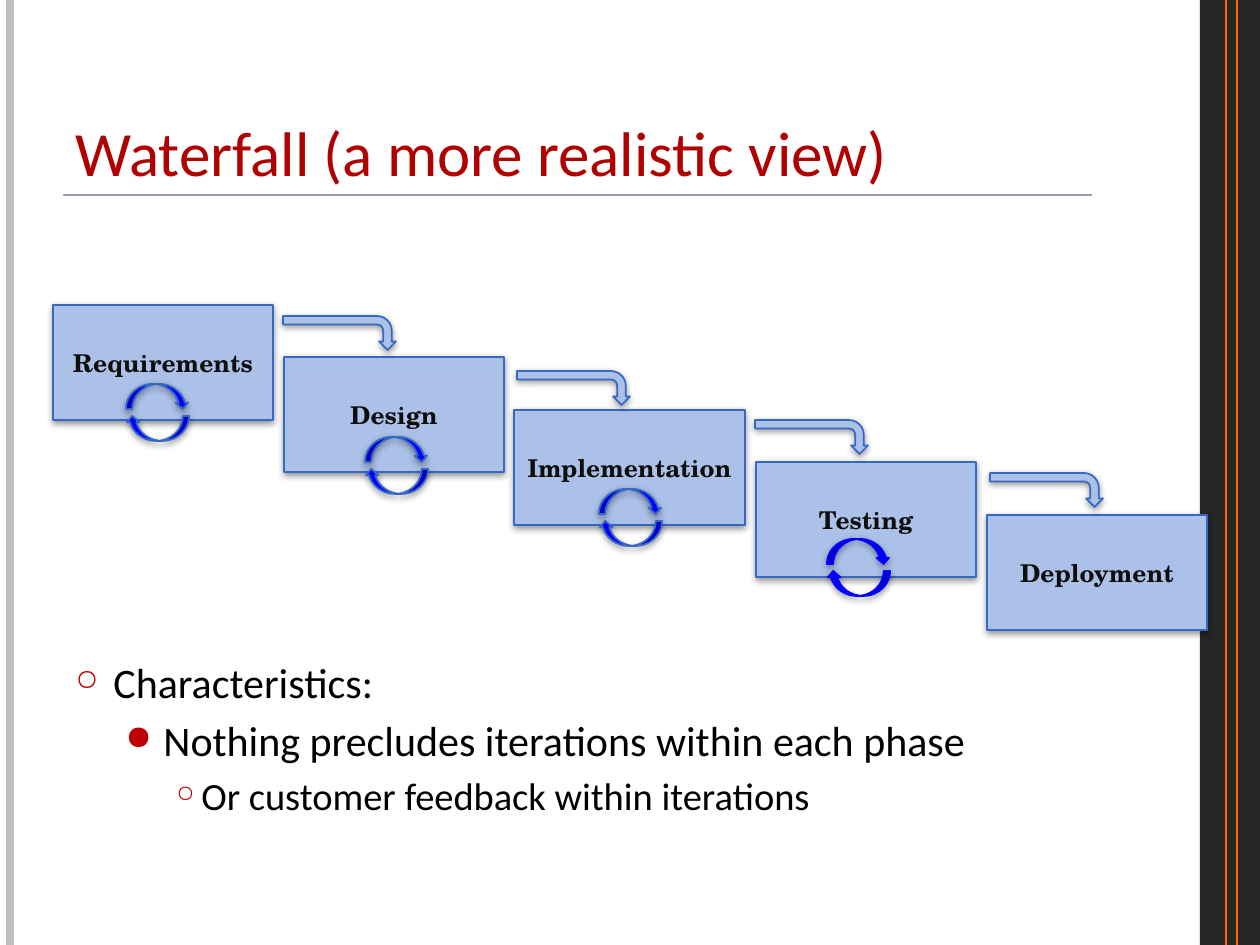
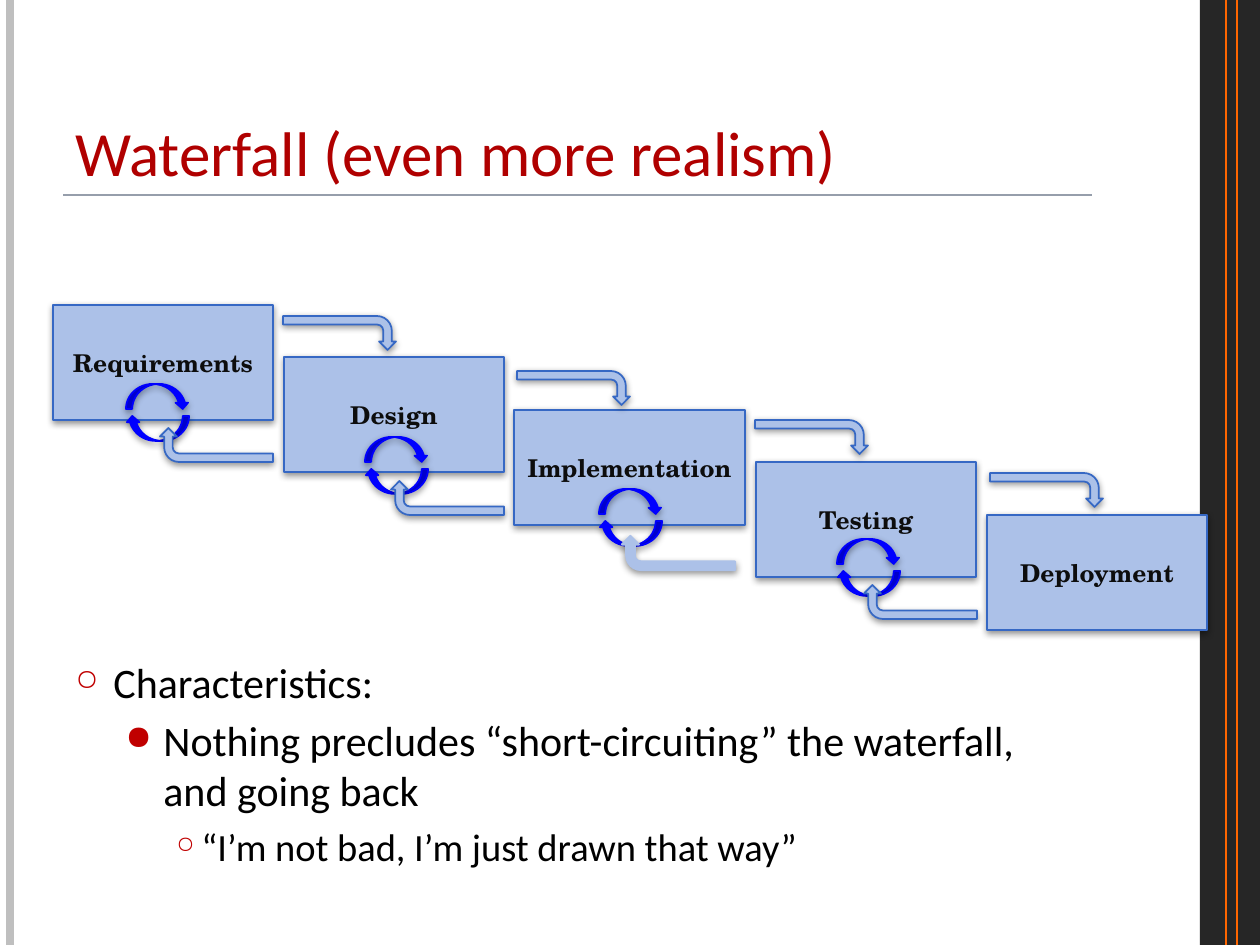
import pptx
import pptx.dml.color
import pptx.enum.shapes
import pptx.enum.text
import pptx.oxml
import pptx.oxml.ns
import pptx.util

SHAPE = pptx.enum.shapes.MSO_SHAPE
ANCHOR = pptx.enum.text.MSO_ANCHOR
Pt = pptx.util.Pt

COLORS = {
    "title": "B00000", "bullet": "C00000", "body": "000000", "phase_text": "0D0D0D",
    "phase": "ACC1E8", "outline": "3668C4", "loop": "0000FF", "shadow": "000000",
    "band": "262626", "band_shadow": "FFFFFF", "edge": "BFBFBF", "stripe": "FF6600",
    "rule": "969EAB",
}
BODY_FONT, PHASE_FONT = "Calibri", "TeX Gyre Schola"

# Content; lengths are px, 126 to the inch
PHASES = [("Requirements", 53, 220), ("Design", 284, 220), ("Implementation", 514, 231),
          ("Testing", 756, 220), ("Deployment", 987, 220)]  # text, left, width
FORWARD_ARROWS = [(283, 316), (517, 371), (755, 420), (990, 473)]
LOOP_TOPS = [384, 437, 489, 539]

SLIDES = [
    {
        "title": "Waterfall (a more realistic view)",
        "points": ["Characteristics:",
                   "Nothing precludes iterations within each phase",
                   "Or customer feedback within iterations"],
        "loops": [(126, "outline"), (365, "outline"), (599, "outline"), (827, "loop")],
        "back_arrows": [],
    },
    {
        "title": "Waterfall (even more realism)",
        "points": ["Characteristics:",
                   "Nothing precludes “short-circuiting” the waterfall, and going back",
                   "“I’m not bad, I’m just drawn that way”"],
        "loops": [(126, "loop"), (365, "loop"), (599, "loop"), (837, "loop")],
        "back_arrows": [(160, 428, "outline", 1), (391, 481, "outline", 1),
                        (622, 536, "phase", 1.25), (864, 585, "outline", 1)],
    },
]

# Bullet levels: character, size %, left margin px, hanging px, text pt
LEVELS = [("○", 70, 38, 38, 24), ("●", 80, 88, 38, 24), ("○", 60, 126, 25, 22)]

# Layout
SLIDE_W, SLIDE_H = 1260, 945
TEXT_LEFT, TEXT_W = 63, 1029
TITLE_TOP, TITLE_H = 38, 157
BODY_TOP, BODY_H = 650, 242
FIRST_PHASE_TOP, TWO_STEPS_DOWN, PHASE_H = 305, 105, 115
ARROW_LENGTH, ARROW_DEPTH = 113, 34
LOOP_W, LOOP_H, LOOP_OFFSET = 63, 25, 32


def px(length):
    return pptx.util.Emu(round(length * 914400 / 126))


def rgb(name):
    return pptx.dml.color.RGBColor.from_string(COLORS[name])


def add_xml(parent, xml):
    parent.append(pptx.oxml.parse_xml(xml.replace(">", f' {pptx.oxml.ns.nsdecls("a")}>', 1)
                                      if "/>" not in xml.split(">", 1)[0] + ">"
                                      else xml.replace("/>", f' {pptx.oxml.ns.nsdecls("a")}/>', 1)))


def add_shadow(shape, color, alpha, blur, distance):
    shape.shadow.inherit = False
    effects = shape._element.spPr.find(pptx.oxml.ns.qn("a:effectLst"))
    add_xml(effects, f'<a:outerShdw blurRad="{Pt(blur)}" dist="{Pt(distance)}" dir="5400000"'
                     f' rotWithShape="0"><a:srgbClr val="{COLORS[color]}">'
                     f'<a:alpha val="{alpha * 1000}"/></a:srgbClr></a:outerShdw>')


def add_solid(shapes, kind, box, fill, outline, width=1):
    """Add a filled, outlined preset shape with the diagram's soft shadow."""
    shape = shapes.add_shape(kind, *map(px, box))
    shape.fill.solid()
    shape.fill.fore_color.rgb = rgb(fill)
    shape.line.color.rgb = rgb(outline)
    shape.line.width = Pt(width)
    add_shadow(shape, "shadow", 42, 4, 1.6)
    return shape


def add_line(slide, start, end, color, width):
    line = slide.shapes.add_connector(pptx.enum.shapes.MSO_CONNECTOR.STRAIGHT,
                                      *map(px, start + end))
    line.line.color.rgb = rgb(color)
    line.line.width = Pt(width)
    add_xml(line._element.spPr, "<a:effectLst/>")


def add_run(paragraph, text, font, size, color, bold=False):
    run = paragraph.add_run()
    run.text = text
    run.font.name = font
    run.font.size = Pt(size)
    run.font.bold = bold
    run.font.color.rgb = rgb(color)


def add_frame(slide):
    """Add the side band, the stripes and the rule that every slide shares."""
    band = slide.shapes.add_shape(SHAPE.RECTANGLE, *map(px, (1200, 0, 60, SLIDE_H)))
    band.fill.solid()
    band.fill.fore_color.rgb = rgb("band")
    band.line.fill.background()
    add_shadow(band, "band_shadow", 100, 4, 4)
    for x, color, width in [(10, "edge", 4.5), (1226, "stripe", 0.75), (1237, "stripe", 0.75)]:
        add_line(slide, (x, 0), (x, SLIDE_H), color, width)
    add_line(slide, (TEXT_LEFT, 195), (TEXT_LEFT + TEXT_W, 195), "rule", 1)


def add_text_frame(slide, top, height, anchor):
    frame = slide.shapes.add_textbox(*map(px, (TEXT_LEFT, top, TEXT_W, height))).text_frame
    frame.word_wrap = True
    frame.vertical_anchor = anchor
    return frame


def add_points(slide, points):
    frame = add_text_frame(slide, BODY_TOP, BODY_H, ANCHOR.TOP)
    for level, (text, (bullet, percent, margin, hanging, size)) in enumerate(zip(points, LEVELS)):
        paragraph = frame.add_paragraph() if level else frame.paragraphs[0]
        paragraph.level = level
        paragraph.space_before = Pt(4.4 if level else 0)
        properties = paragraph._p.get_or_add_pPr()
        properties.set("marL", str(px(margin)))
        properties.set("indent", str(-px(hanging)))
        add_xml(properties, f'<a:buClr><a:srgbClr val="{COLORS["bullet"]}"/></a:buClr>')
        add_xml(properties, f'<a:buSzPct val="{percent * 1000}"/>')
        add_xml(properties, f'<a:buChar char="{bullet}"/>')
        add_run(paragraph, text, BODY_FONT, size, "body")


def add_phases(slide):
    for step, (text, left, width) in enumerate(PHASES):
        top = FIRST_PHASE_TOP + step * TWO_STEPS_DOWN // 2
        phase = add_solid(slide.shapes, SHAPE.RECTANGLE, (left, top, width, PHASE_H),
                          "phase", "outline")
        frame = phase.text_frame
        frame.word_wrap = False
        frame.vertical_anchor = ANCHOR.MIDDLE
        frame.paragraphs[0].alignment = pptx.enum.text.PP_ALIGN.CENTER
        add_run(frame.paragraphs[0], text, PHASE_FONT, 14, "phase_text", bold=True)


def add_bent_arrow(slide, left, top, rotation, outline="outline", width=1):
    """Place a quarter-turned arrow by the corner of its turned, wide box."""
    shift = (ARROW_LENGTH - ARROW_DEPTH) / 2
    box = (left + shift, top - shift, ARROW_DEPTH, ARROW_LENGTH)
    arrow = add_solid(slide.shapes, SHAPE.BENT_ARROW, box, "phase", outline, width)
    arrow.rotation = rotation


def add_loop(slide, left, top, outline):
    loop = slide.shapes.add_group_shape()
    for offset, rotation in [(LOOP_OFFSET, 180), (0, 0)]:
        arc = add_solid(loop.shapes, SHAPE.CURVED_UP_ARROW,
                        (left, top + offset, LOOP_W, LOOP_H), "loop", outline)
        arc.rotation = rotation
        arc._element.spPr.xfrm.set("flipV", "1")


def add_slide(deck, content):
    slide = deck.slides.add_slide(deck.slide_layouts[6])
    add_frame(slide)
    title = add_text_frame(slide, TITLE_TOP, TITLE_H, ANCHOR.BOTTOM)
    add_run(title.paragraphs[0], content["title"], BODY_FONT, 36, "title")
    add_points(slide, content["points"])
    add_phases(slide)
    for left, top in FORWARD_ARROWS:
        add_bent_arrow(slide, left, top, 90)
    for (left, outline), top in zip(content["loops"], LOOP_TOPS):
        add_loop(slide, left, top, outline)
    for left, top, outline, width in content["back_arrows"]:
        add_bent_arrow(slide, left, top, 270, outline, width)


def main():
    deck = pptx.Presentation()
    deck.slide_width, deck.slide_height = px(SLIDE_W), px(SLIDE_H)
    for content in SLIDES:
        add_slide(deck, content)
    deck.save("out.pptx")


if __name__ == "__main__":
    main()
